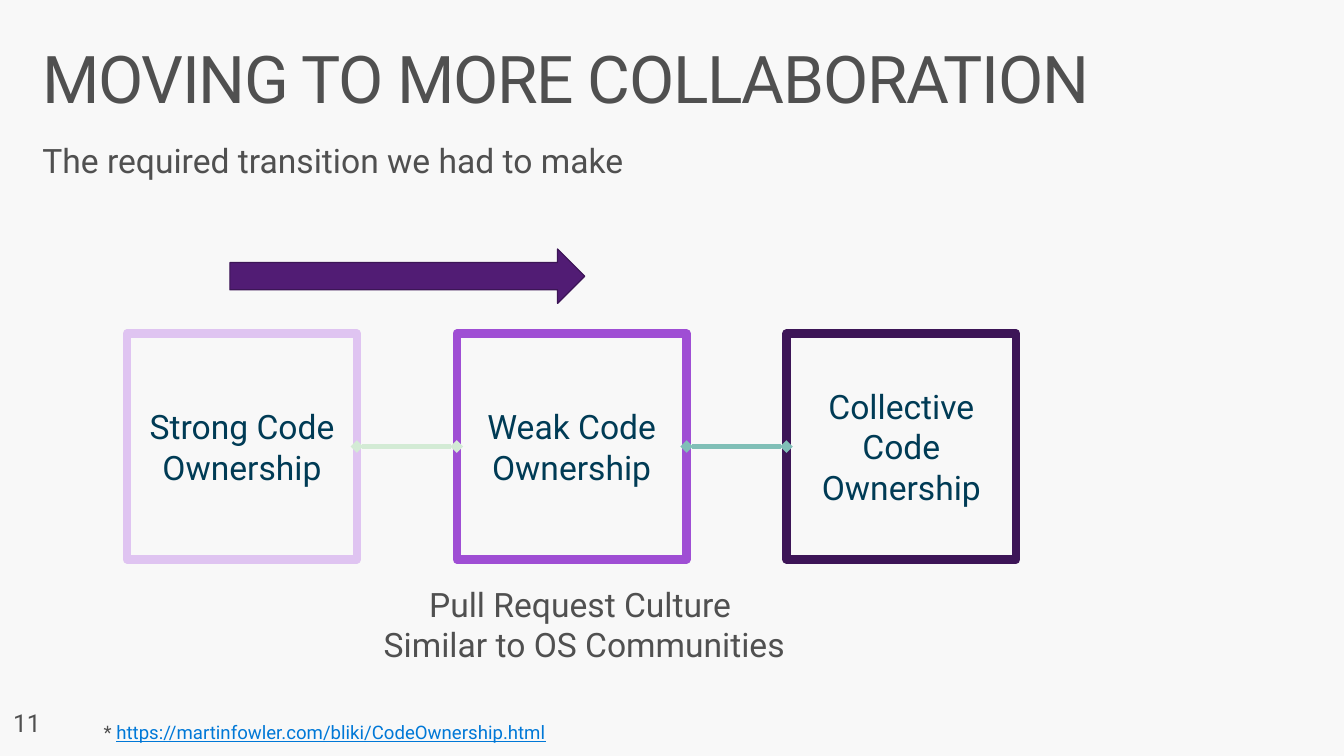
from lxml import etree
from pptx import Presentation
from pptx.dml.color import RGBColor
from pptx.enum import shapes, text
from pptx.oxml import ns
from pptx.util import Inches, Pt

GRAY = RGBColor(0x50, 0x50, 0x50)
NAVY = RGBColor(0x00, 0x3B, 0x55)
BLUE = RGBColor(0x00, 0x78, 0xD7)
PLUM = RGBColor(0x51, 0x1C, 0x74)
EDGE = RGBColor(0x3C, 0x15, 0x56)
LILAC = RGBColor(0xDF, 0xC4, 0xF1)
VIOLET = RGBColor(0x9F, 0x4E, 0xD4)
DARK = RGBColor(0x3D, 0x15, 0x57)
MINT = RGBColor(0xD3, 0xEB, 0xD5)
TEAL = RGBColor(0x80, 0xBF, 0xB7)
PAPER = RGBColor(0xF8, 0xF8, 0xF8)
MID = text.MSO_ANCHOR.MIDDLE
LEFT, CENTER = text.PP_ALIGN.LEFT, text.PP_ALIGN.CENTER

prs = Presentation()
prs.slide_width, prs.slide_height = Inches(13.33), Inches(7.5)
slide = prs.slides.add_slide(prs.slide_layouts[6])
slide.background.fill.solid()
slide.background.fill.fore_color.rgb = PAPER


def write(shape, lines, size, color=GRAY, align=LEFT, anchor=text.MSO_ANCHOR.TOP, pad=0.13):
    frame = shape.text_frame
    frame.word_wrap = True
    frame.vertical_anchor = anchor
    frame.margin_left = frame.margin_right = Inches(pad)
    frame.margin_top = frame.margin_bottom = Inches(min(pad, 0.13) if pad > 0.1 else 0.05)
    frame.text = "\n".join(lines)
    for par in frame.paragraphs:
        par.alignment = align
        par.font.name, par.font.size = "Roboto", Pt(size)
        par.font.color.rgb = color
    return frame.paragraphs[0]


def box(left, top, width, height):
    return slide.shapes.add_textbox(Inches(left), Inches(top), Inches(width), Inches(height))


# Title and page number
title = write(box(0.29, 0.32, 12.75, 0.98), ["MOVING TO MORE COLLABORATION"], 47,
              anchor=text.MSO_ANCHOR.BOTTOM)
title.line_spacing = 0.9
title.runs[0]._r.get_or_add_rPr().set("spc", "-100")
write(box(0, 6.88, 0.8, 0.57), ["11"], 17.6, anchor=MID)

# Ownership boxes
LEFTS, TOP, WIDE, HIGH = (1.26, 4.53, 7.8), 3.31, 2.28, 2.24
kinds = (("Strong Code Ownership", LILAC), ("Weak Code Ownership", VIOLET),
         ("Collective Code Ownership", DARK))
for left, (label, color) in zip(LEFTS, kinds):
    rect = slide.shapes.add_shape(shapes.MSO_SHAPE.RECTANGLE, Inches(left), Inches(TOP),
                                  Inches(WIDE), Inches(HIGH))
    rect.shadow.inherit = False
    rect.fill.background()
    rect.line.color.rgb, rect.line.width = color, Pt(6)
    write(rect, [label], 24, NAVY, CENTER, MID)

# Links between neighbouring boxes
mid = Inches(TOP + HIGH / 2)
for start, end, color in zip(LEFTS, LEFTS[1:], (MINT, TEAL)):
    link = slide.shapes.add_connector(shapes.MSO_CONNECTOR.STRAIGHT, Inches(start + WIDE), mid,
                                      Inches(end), mid)
    link.line.color.rgb, link.line.width = color, Pt(3)
    for tip in ("a:headEnd", "a:tailEnd"):
        etree.SubElement(link.line._get_or_add_ln(), ns.qn(tip), type="diamond")
    etree.SubElement(link._element.spPr, ns.qn("a:effectLst"))

# Transition arrow
arrow = slide.shapes.add_shape(shapes.MSO_SHAPE.RIGHT_ARROW, Inches(2.28), Inches(2.47),
                               Inches(3.52), Inches(0.54))
arrow.shadow.inherit = False
arrow.fill.solid()
arrow.fill.fore_color.rgb = PLUM
arrow.line.color.rgb, arrow.line.width = EDGE, Pt(0.85)

# Caption and source
write(box(3.44, 5.74, 4.71, 0.91), ["Pull Request Culture ", "Similar to OS Communities"], 24,
      align=CENTER, pad=0.1)
note = write(box(0.93, 7.1, 7.38, 0.33), ["* "], 13.3, pad=0.1)
url = note.add_run()
url.text = "https://martinfowler.com/bliki/CodeOwnership.html"
url.font.color.rgb, url.font.underline = BLUE, True

# Bullet
body = box(0.29, 1.3, 12.74, 2.24)
point = body.text_frame.paragraphs[0]
props = point._p.get_or_add_pPr()
props.set("marL", str(Inches(0.37)))
props.set("indent", str(-Inches(0.37)))
etree.SubElement(props, ns.qn("a:buSzPct"), val="90000")
etree.SubElement(props, ns.qn("a:buFont"), typeface="Arial")
etree.SubElement(props, ns.qn("a:buChar"), char="•")
write(body, ["The required transition we had to make"], 24).line_spacing = 0.9

prs.save("out.pptx")
